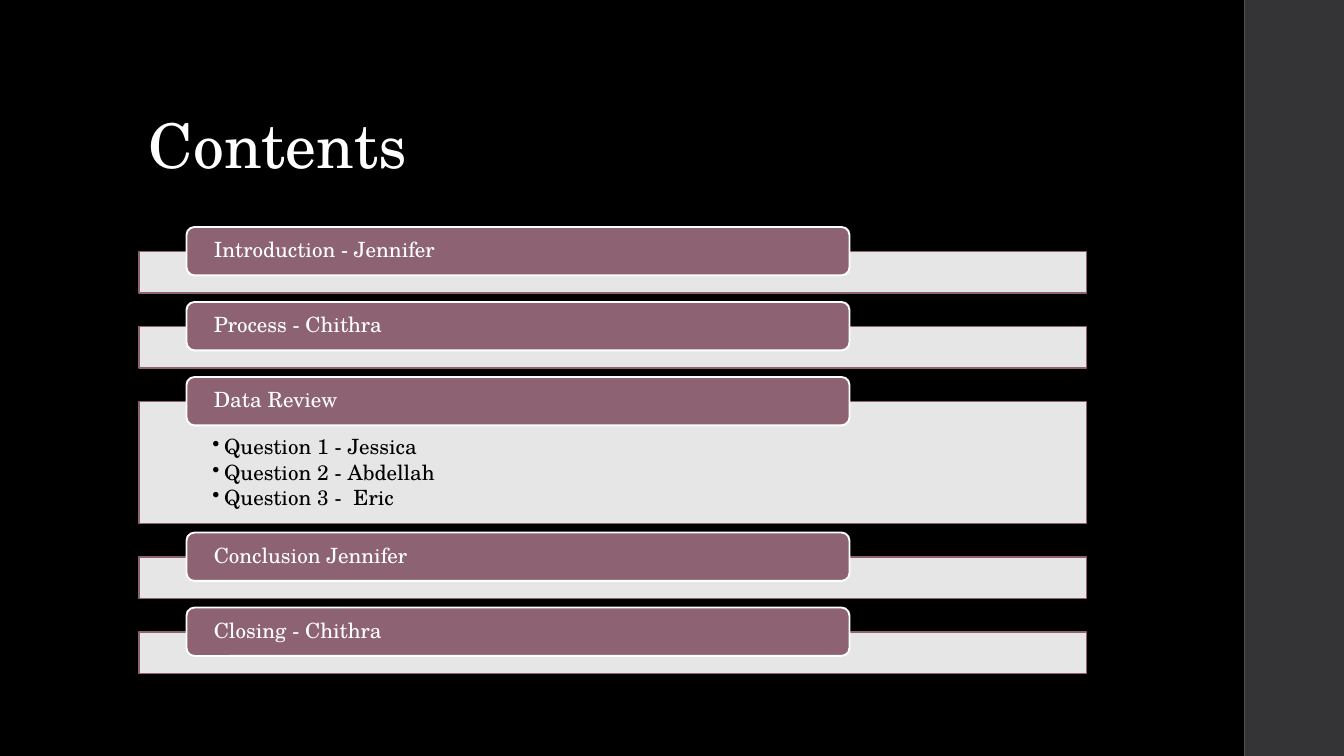
from dataclasses import dataclass

from lxml.etree import SubElement
from pptx import Presentation
from pptx.dml.color import RGBColor
from pptx.enum.shapes import MSO_SHAPE as Preset
from pptx.enum.text import MSO_ANCHOR as Anchor, MSO_AUTO_SIZE as AutoSize, PP_ALIGN as Align
from pptx.oxml.ns import qn
from pptx.shapes.autoshape import Shape
from pptx.slide import Slide
from pptx.text.text import TextFrame
from pptx.util import Cm, Pt

FONT = "TeX Gyre Schola"
BLACK, WHITE, MAUVE, CHARCOAL = "000000", "FFFFFF", "8D6374", "343437"
PANEL_LEFT, PANEL_WIDTH, FIRST_PANEL_TOP = 3.5, 23.88, 6.34
PLAIN_HEIGHT, DETAIL_HEIGHT, PANEL_GAP = 1.04, 3.07, 0.85
LABEL_INDENT, LABEL_RISE, LABEL_WIDTH, LABEL_HEIGHT = 1.2, 0.62, 16.71, 1.22


@dataclass(frozen=True)
class Section:
    label: str
    details: tuple[str, ...] = ()


@dataclass(frozen=True)
class Area:
    left: float
    top: float
    width: float
    height: float


SECTIONS = (
    Section("Introduction - Jennifer"),
    Section("Process - Chithra"),
    Section("Data Review", ("Question 1 - Jessica", "Question 2 - Abdellah", "Question 3 -  Eric")),
    Section("Conclusion Jennifer"),
    Section("Closing - Chithra"),
)


def colour(code: str) -> RGBColor:
    return RGBColor.from_string(code)


def draw_box(page: Slide, preset: Preset, area: Area, fill: str,
             line: str = "", line_width: float = 0) -> Shape:
    box = page.shapes.add_shape(preset, Cm(area.left), Cm(area.top), Cm(area.width), Cm(area.height))
    box.shadow.inherit = False
    box.fill.solid()
    box.fill.fore_color.rgb = colour(fill)
    if line:
        box.line.color.rgb = colour(line)
        box.line.width = Pt(line_width)
    else:
        box.line.fill.background()
    return box


def set_margins(frame: TextFrame, side: float, top: float, bottom: float) -> None:
    frame.margin_left = frame.margin_right = Cm(side)
    frame.margin_top, frame.margin_bottom = Cm(top), Cm(bottom)
    frame.word_wrap = True


def format_text(frame: TextFrame, size: float, code: str) -> None:
    for para in frame.paragraphs:
        para.alignment = Align.LEFT
        para.line_spacing = 0.9
        for span in para.runs:
            span.font.name = FONT
            span.font.size = Pt(size)
            span.font.color.rgb = colour(code)


def add_bullets(frame: TextFrame) -> None:
    for index, para in enumerate(frame.paragraphs):
        para.level = 1
        if index:
            para.space_before = Pt(2.2)
        properties = para._p.get_or_add_pPr()
        properties.set("marL", str(Cm(0.3)))
        properties.set("indent", str(Cm(-0.3)))
        bullet_colour = SubElement(properties, qn("a:buClr"))
        SubElement(bullet_colour, qn("a:srgbClr"), val=BLACK)
        SubElement(properties, qn("a:buChar"), char="•")


def draw_section(page: Slide, section: Section, top: float) -> float:
    height = DETAIL_HEIGHT if section.details else PLAIN_HEIGHT
    panel = draw_box(page, Preset.RECTANGLE, Area(PANEL_LEFT, top, PANEL_WIDTH, height), WHITE, MAUVE, 1.1)
    panel_colour = panel.fill._xPr.find(qn("a:solidFill")).find(qn("a:srgbClr"))
    SubElement(panel_colour, qn("a:alpha"), val="90000")
    if section.details:
        frame = panel.text_frame
        frame.text = "\n".join(section.details)
        frame.vertical_anchor = Anchor.TOP
        set_margins(frame, 1.85, 0.87, 0.3)
        add_bullets(frame)
        format_text(frame, 15, BLACK)

    label_area = Area(PANEL_LEFT + LABEL_INDENT, top - LABEL_RISE, LABEL_WIDTH, LABEL_HEIGHT)
    label = draw_box(page, Preset.ROUNDED_RECTANGLE, label_area, MAUVE, WHITE, 1.35)
    label.text_frame.text = section.label
    label.text_frame.vertical_anchor = Anchor.MIDDLE
    set_margins(label.text_frame, 0.63, 0, 0)
    format_text(label.text_frame, 15, WHITE)
    return top + height + PANEL_GAP


def place_title(page: Slide, text: str) -> None:
    title = page.shapes.title
    page.shapes.element.append(title.element)
    title.left, title.top, title.width, title.height = Cm(3.5), Cm(1.02), Cm(26.92), Cm(3.68)
    frame = title.text_frame
    frame.text = text
    frame.auto_size = AutoSize.NONE
    frame.vertical_anchor = Anchor.BOTTOM
    set_margins(frame, 0.25, 0.13, 0.13)
    format_text(frame, 44, WHITE)


def main() -> None:
    deck = Presentation()
    deck.slide_width, deck.slide_height = Cm(33.87), Cm(19.05)
    page = deck.slides.add_slide(deck.slide_layouts.get_by_name("Title Only"))
    draw_box(page, Preset.RECTANGLE, Area(31.37, 0, 2.5, 19.05), CHARCOAL)
    draw_box(page, Preset.RECTANGLE, Area(0, 0, 31.37, 19.05), BLACK)
    place_title(page, "Contents")
    top = FIRST_PANEL_TOP
    for section in SECTIONS:
        top = draw_section(page, section, top)
    deck.save("out.pptx")


if __name__ == "__main__":
    main()
